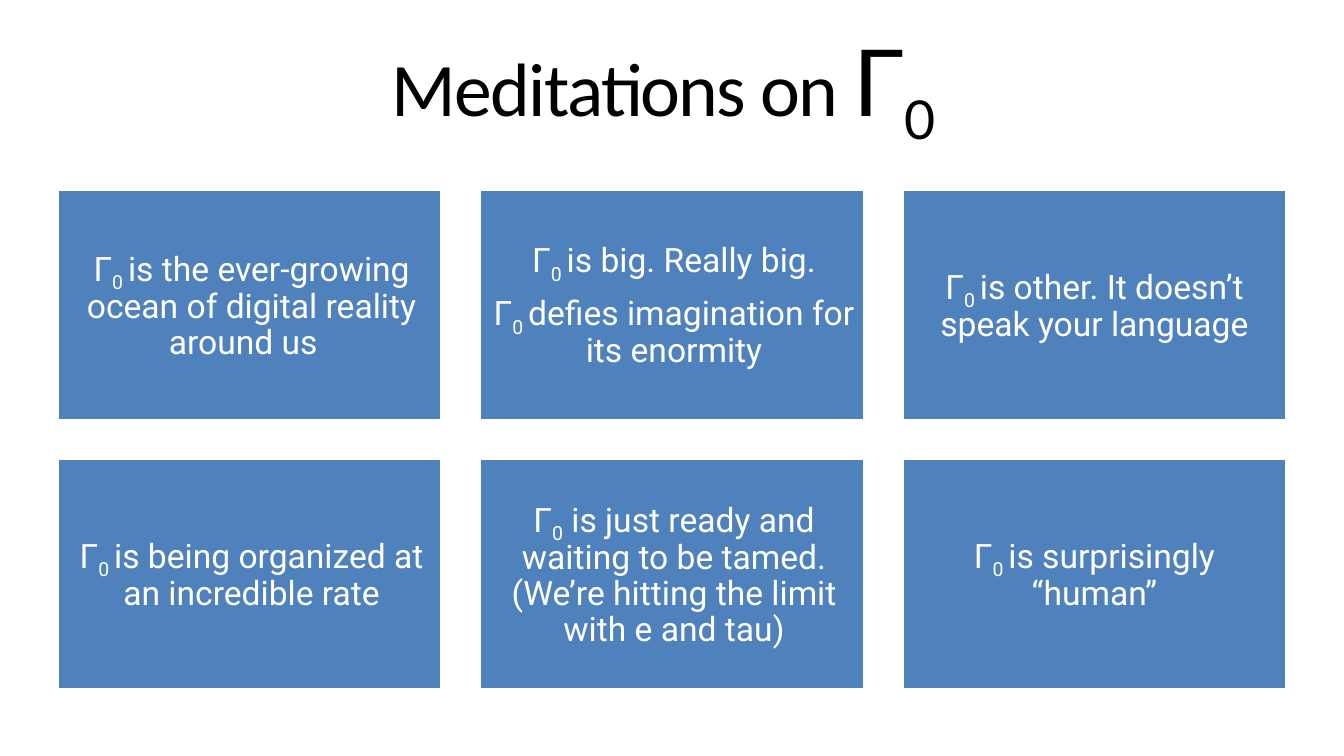
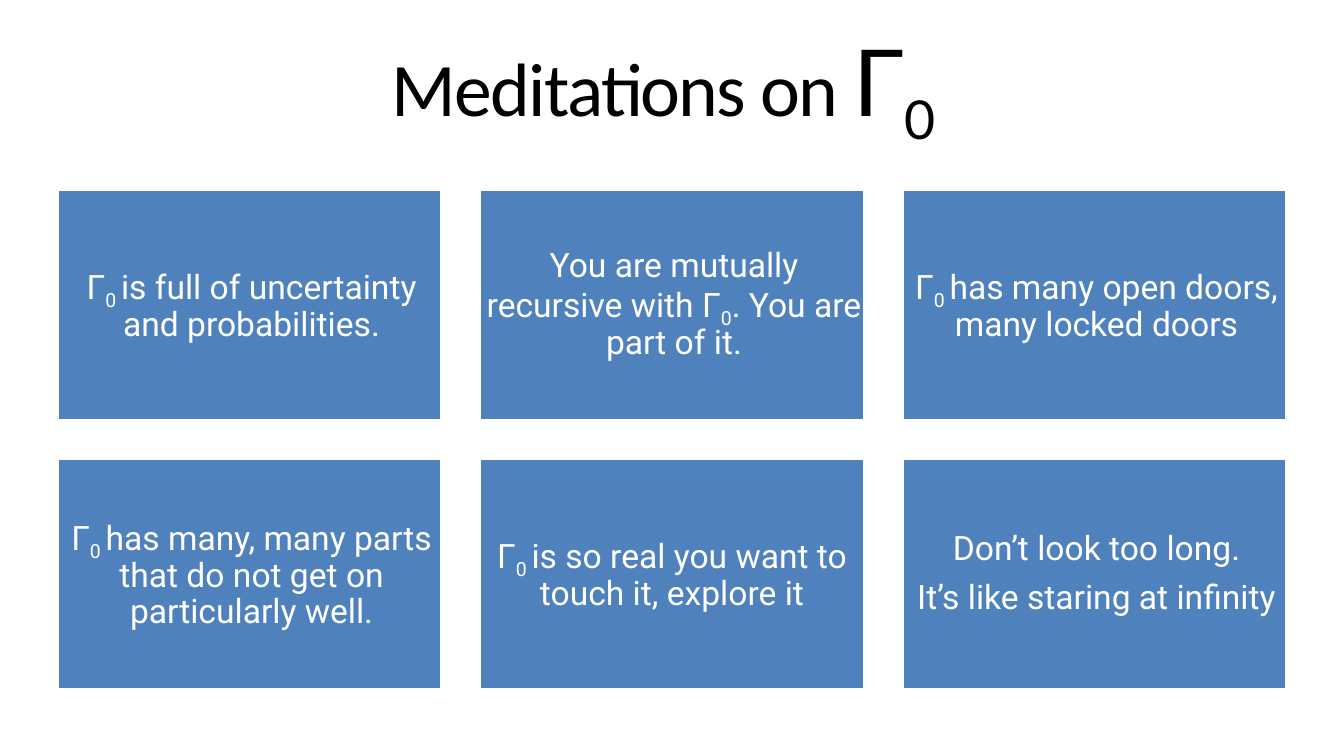
from dataclasses import dataclass

from pptx import Presentation
from pptx import util as u
from pptx.dml import color
from pptx.enum import shapes, text

PX = 9144
SLIDE_SIZE = (1333, 750)
TITLE_BOX = (57, 25, 1219, 100)
GRID_BOX = (57, 188, 1219, 496)
COLUMNS, ROWS, GAP = 3, 2, 38
BLACK, WHITE, BLUE = "000000", "FFFFFF", "4F81BD"
NO_PADDING = (0, 0, 0, 0)
TIGHT = (4, 10, 0, 10)
ROOMY = (10, 10, 10, 10)
TITLE_SPANS = [
    ("Meditations on ", "Calibri", 54),
    ("Γ|0|", "Lato", 66),
    (" ", "Calibri", 54),
]


@dataclass
class Card:
    """Paragraphs of one card, with subscripts between bars."""
    lines: list
    padding: tuple = TIGHT


SLIDES = [
    [
        Card(["Γ|0 |is the ever-growing ocean of digital reality around us  "]),
        Card(["Γ|0 |is big. Really big.",
              "Γ|0 |defies imagination for its enormity"]),
        Card(["Γ|0 |is other. It doesn’t speak your language"], ROOMY),
        Card(["Γ|0 |is being organized at an incredible rate"]),
        Card(["Γ|0| is just ready and waiting to be tamed. "
              "(We’re hitting the limit with e and tau)"]),
        Card(["Γ|0 |is surprisingly “human”"], ROOMY),
    ],
    [
        Card(["Γ|0 |is full of uncertainty and probabilities."]),
        Card(["You are mutually recursive with Γ|0|. You are part of it."]),
        Card(["Γ|0 |has many open doors, many locked doors"]),
        Card(["Γ|0 |has many, many parts that do not get on particularly well."]),
        Card(["Γ|0 |is so real you want to touch it, explore it"], ROOMY),
        Card(["Don’t look too long.", "It’s like staring at infinity"]),
    ],
]


def px(*lengths):
    """Turn px lengths into EMU."""
    return [u.Emu(round(length * PX)) for length in lengths]


def rgb(value):
    """Return the colour of a hex string."""
    return color.RGBColor.from_string(value)


def set_frame(frame, padding, anchor):
    """Set wrapping, insets and vertical anchor of a text frame."""
    frame.word_wrap = True
    frame.vertical_anchor = anchor
    (frame.margin_left, frame.margin_top,
     frame.margin_right, frame.margin_bottom) = px(*padding)


def style_paragraph(para, hex_color):
    """Centre a paragraph, tighten its lines and colour it."""
    para.alignment = text.PP_ALIGN.CENTER
    para.line_spacing = 0.9
    para.font.color.rgb = rgb(hex_color)


def add_spans(para, marked):
    """Add marked text as spans, lowering what stands between bars."""
    spans = []
    for index, part in enumerate(marked.split("|")):
        if part:
            span = para.add_run()
            span.text = part
            if index % 2:
                span._r.get_or_add_rPr().set("baseline", "-25000")
            spans.append(span)
    return spans


def add_title(page, box):
    """Add the title that all slides share."""
    frame = page.shapes.add_textbox(*px(*box)).text_frame
    set_frame(frame, NO_PADDING, text.MSO_ANCHOR.TOP)
    para = frame.paragraphs[0]
    style_paragraph(para, BLACK)
    for marked, font, size in TITLE_SPANS:
        for span in add_spans(para, marked):
            span.font.name = font
            span.font.size = u.Pt(size)
            span._r.get_or_add_rPr().set("spc", "-120")


def add_card(page, box, card):
    """Add one blue card with its centred text."""
    shape = page.shapes.add_shape(shapes.MSO_SHAPE.RECTANGLE, *px(*box))
    shape.shadow.inherit = False
    shape.fill.solid()
    shape.fill.fore_color.rgb = rgb(BLUE)
    shape.line.color.rgb = rgb(WHITE)
    shape.line.width = u.Pt(2)
    frame = shape.text_frame
    set_frame(frame, card.padding, text.MSO_ANCHOR.MIDDLE)
    for index, line in enumerate(card.lines):
        para = frame.add_paragraph() if index else frame.paragraphs[0]
        style_paragraph(para, WHITE)
        para.space_after = u.Pt(8.4)
        para.font.name = "Roboto"
        para.font.size = u.Pt(24)
        add_spans(para, line)


def add_grid(page, box, cards):
    """Lay the cards out in equal columns and rows."""
    left, top, width, height = box
    card_width = (width - GAP * (COLUMNS - 1)) / COLUMNS
    card_height = (height - GAP * (ROWS - 1)) / ROWS
    for index, card in enumerate(cards):
        row, column = divmod(index, COLUMNS)
        add_card(page, (left + column * (card_width + GAP),
                        top + row * (card_height + GAP),
                        card_width, card_height), card)


def main():
    """Build and save the deck."""
    deck = Presentation()
    deck.slide_width, deck.slide_height = px(*SLIDE_SIZE)
    for cards in SLIDES:
        page = deck.slides.add_slide(deck.slide_layouts[6])
        add_title(page, TITLE_BOX)
        add_grid(page, GRID_BOX, cards)
    deck.save("out.pptx")


if __name__ == "__main__":
    main()
